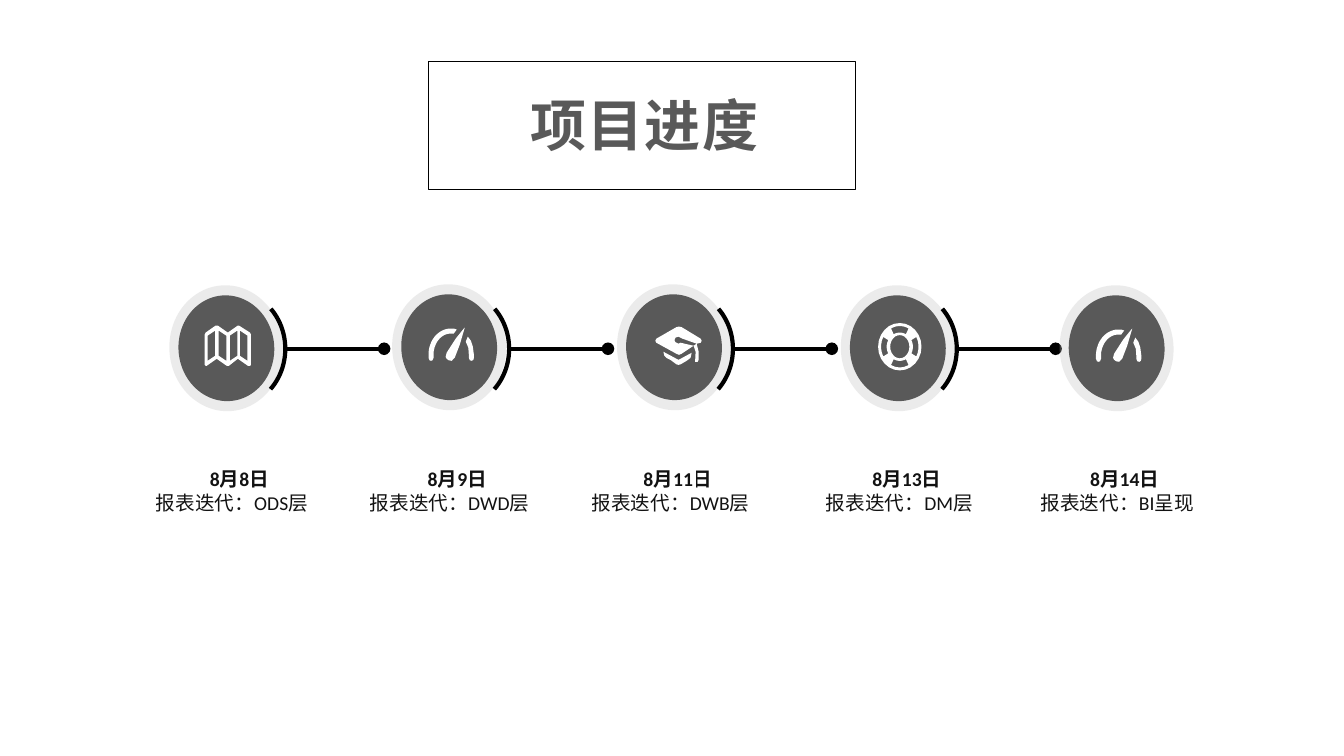
import math
from pptx import Presentation
from pptx import util as u
from pptx.dml.color import RGBColor
from pptx.enum import shapes as sh, text as tx
from pptx.oxml import parse_xml
from pptx.oxml.ns import nsdecls, qn

GREY = RGBColor(0x59, 0x59, 0x59)
PALE = RGBColor(0xBF, 0xBF, 0xBF)
BLACK = RGBColor(0, 0, 0)
WHITE = RGBColor(255, 255, 255)


def arc(x, y, rx, ry, start, end):
    """Points along an ellipse, angles in degrees clockwise from the right."""
    turns = [math.radians(start + (end - start) * k / 24) for k in range(25)]
    return [(x + rx * math.cos(t), y + ry * math.sin(t)) for t in turns]


def paint(fill, color, alpha=100):
    """Solid fill, alpha in percent."""
    fill.solid()
    fill.fore_color.rgb = color
    if alpha < 100:
        tone = fill._xPr.find(qn("a:solidFill"))[0]
        tone.append(parse_xml(f'<a:alpha {nsdecls("a")} val="{alpha * 1000}"/>'))


# Icon outlines, in hundredths of an inch
fold = [[(45, 7), (34, 0), (33, 0), (23, 7), (13, 0), (11, 0), (1, 7), (0, 9),
         (0, 39), (1, 40), (2, 40), (12, 33), (22, 40), (24, 40), (33, 33),
         (43, 40), (45, 40), (46, 39), (46, 9)]]
for x, dip in ((3, 5), (14, 0), (25, 5), (35, 0)):
    fold.append([(x, 5 + dip), (x + 7.5, 10 - dip), (x + 7.5, 35 - dip), (x, 30 + dip)])

gauge = [
    [(18, 26), (17, 30), (18, 32), (20, 33.5), (23, 34), (26, 31), (31, 18),
     (36, 1), (35, 2), (27, 12)],
    arc(22, 28, 22, 26, 270, 180) + [(0, 31), (1, 33.5), (2.5, 34), (4, 33.5), (5, 31)]
    + arc(22, 28, 17, 21, 180, 270) + [(25, 7), (28, 3), (25, 2)],
    [(39, 10), (37, 15), (39.5, 21), (40, 28), (40, 31), (41, 33.5), (43, 34),
     (44.5, 33), (45, 31), (45, 28), (44, 20), (42, 14)],
]

cap = [
    [(8, 25), (9, 29), (11, 31), (15, 33), (21, 37.5), (23, 38), (25, 37.5),
     (31, 34), (35, 31), (36, 26), (23, 33)],
    [(45, 12), (26, 0.5), (23.5, 0), (21, 0.5), (1, 12), (0, 14), (1, 16), (21, 27),
     (23.5, 28), (26, 27), (38, 19), (25, 16), (23, 17), (20, 15.5), (19, 13.5),
     (20, 11), (23, 10), (27, 12), (41, 17), (45, 16), (46, 14)],
    [(39.5, 35), (42, 35), (43, 33), (43, 25), (41, 17), (38, 19), (40, 25)],
]

buoy = [arc(21.5, 23, 21.5, 23.5, 0, 360), arc(21.5, 23, 9.5, 11.5, 0, 360)]
for mid in range(0, 360, 90):
    buoy.append(arc(21.5, 23, 18.5, 20.5, mid - 28, mid + 28)
                + arc(21.5, 23, 13, 14, mid + 28, mid - 28))

# Ring left and top, icon left and top, icon, date, work, caption left
steps = [
    (1.68, 2.83, 2.03, 3.23, fold, "8月8日", "报表迭代：ODS层", 1.39),
    (3.89, 2.82, 4.25, 3.24, gauge, "8月9日", "报表迭代：DWD层", 3.55),
    (6.12, 2.82, 6.5, 3.24, cap, "8月11日", "报表迭代：DWB层", 5.74),
    (8.34, 2.83, 8.71, 3.21, buoy, "8月13日", "报表迭代：DM层", 8.01),
    (10.51, 2.83, 10.87, 3.25, gauge, "8月14日", "报表迭代：BI呈现", 10.17),
]

deck = Presentation()
deck.slide_width, deck.slide_height = u.Inches(13.33), u.Inches(7.5)
slide = deck.slides.add_slide(deck.slide_layouts[5])
pool = slide.shapes

# Title and its frame
title = pool.title
title.left, title.top = u.Inches(4.25), u.Inches(0.92)
title.width, title.height = u.Inches(4.28), u.Inches(0.71)
frame = title.text_frame
frame.auto_size = tx.MSO_AUTO_SIZE.NONE
para = frame.paragraphs[0]
para.alignment = tx.PP_ALIGN.CENTER
para.line_spacing = 0.9
run = para.add_run()
run.text = "项目进度"
font = run.font
font.size, font.bold, font.name = u.Pt(40), True, "Noto Sans CJK SC"
font.color.rgb = GREY
props = run._r.get_or_add_rPr()
props.set("spc", "100")
props.append(parse_xml(f'<a:ea {nsdecls("a")} typeface="Noto Sans CJK SC"/>'))

box = pool.add_shape(sh.MSO_SHAPE.RECTANGLE, u.Inches(4.25), u.Inches(0.61),
                     u.Inches(4.23), u.Inches(1.27))
box.shadow.inherit = False
box.fill.background()
box.line.color.rgb = BLACK
box.line.width = u.Pt(0.25)

# Timeline
for i, (left, top, x, y, icon, date, work, cx) in enumerate(steps):
    for gap, w, h, color, alpha in ((0, 1.13, 1.25, PALE, 30), (0.09, 0.95, 1.05, GREY, 100)):
        disc = pool.add_shape(sh.MSO_SHAPE.OVAL, u.Inches(left + gap), u.Inches(top + gap + 0.01 * (gap > 0)),
                              u.Inches(w), u.Inches(h))
        disc.rotation = 355.3
        disc.shadow.inherit = False
        paint(disc.fill, color, alpha)
        disc.line.fill.background()

    pen = None
    for part in icon:
        pts = [(px * 10, py * 10) for px, py in part]
        if pen is None:
            pen = pool.build_freeform(*pts[0], scale=u.Inches(1) / 1000)
        else:
            pen.move_to(*pts[0])
        pen.add_line_segments(pts[1:], close=True)
    sign = pen.convert_to_shape(u.Inches(x), u.Inches(y))
    sign.shadow.inherit = False
    paint(sign.fill, WHITE)
    sign.line.fill.background()

    if i < len(steps) - 1:
        start = 2.84 + 2.22 * i
        link = pool.add_connector(sh.MSO_CONNECTOR.STRAIGHT, u.Inches(start), u.Inches(3.46),
                                  u.Inches(start + 0.97), u.Inches(3.46))
        link.line.color.rgb = BLACK
        link.line.width = u.Pt(3)
        link.line._get_or_add_ln().append(parse_xml(f'<a:tailEnd {nsdecls("a")} type="oval"/>'))
        link._element.spPr.append(parse_xml(f'<a:effectLst {nsdecls("a")}/>'))

        bow = pool.add_shape(sh.MSO_SHAPE.ARC, u.Inches(start - 1.12), u.Inches(2.93),
                             u.Inches(1.16), u.Inches(1.06))
        bow.rotation = 270
        bow.adjustments[0], bow.adjustments[1] = 26.572, 81.761
        bow.shadow.inherit = False
        bow.fill.background()
        bow.line.color.rgb = BLACK
        bow.line.width = u.Pt(3)

    for words, tl, tt, w, h, bold in ((work, cx, 4.82, 1.82, 0.34, False),
                                      (date, cx + 0.34, 4.58, 1.29, 0.33, True)):
        note = pool.add_textbox(u.Inches(tl), u.Inches(tt), u.Inches(w), u.Inches(h))
        note.text_frame.word_wrap = True
        para = note.text_frame.paragraphs[0]
        para.alignment = tx.PP_ALIGN.CENTER
        run = para.add_run()
        run.text = words
        run.font.size, run.font.bold, run.font.name = u.Pt(14), bold, "Calibri"
        paint(run.font.fill, BLACK, 92)

deck.save("out.pptx")
